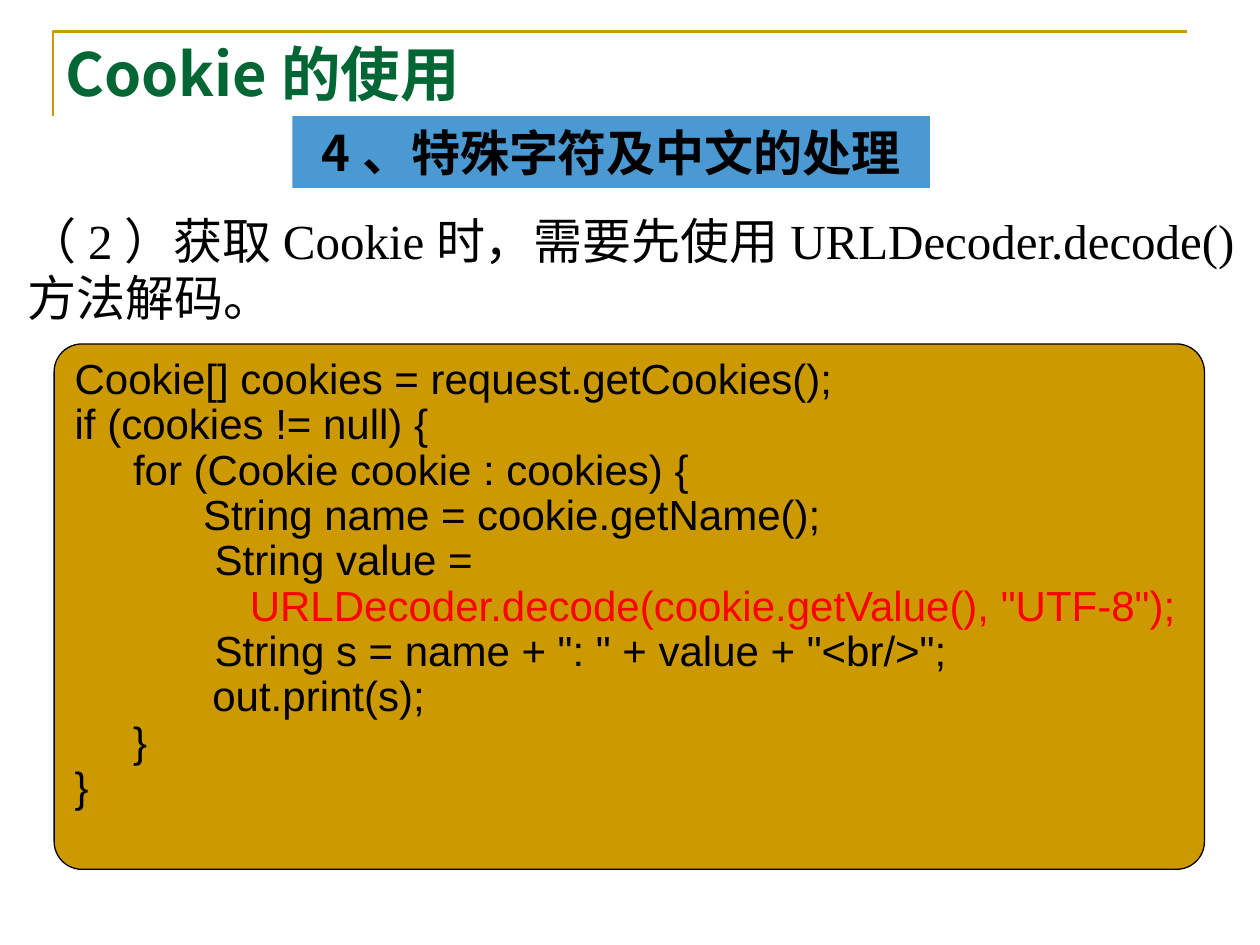
"""Build a slide on decoding cookie values that hold special or Chinese characters."""
from lxml import etree
from pptx import Presentation, util as u
from pptx.dml.color import RGBColor
from pptx.enum import shapes, text
from pptx.oxml.ns import qn

TITLE = "Cookie的使用"
BANNER = [("4、", "cjk"), ("特殊字符及中文的处理", "serif")]
BODY = "（2）获取Cookie时，需要先使用URLDecoder.decode()方法解码。"
CODE = [
    (0, "Cookie[] cookies = request.getCookies();", "ink"),
    (5, "if (cookies != null) {", "ink"),
    (5, "for (Cookie cookie : cookies) {", "ink"),
    (11, "String name = cookie.getName();", "ink"),
    (12, "String value =", "ink"),
    (15, 'URLDecoder.decode(cookie.getValue(), "UTF-8");', "alert"),
    (12, 'String s = name + ": " + value + "<br/>";', "ink"),
    (11.8, "out.print(s);", "ink"),
    (5, "}", "ink"),
    (0, "}", "ink"),
]
CODE[1] = (0, *CODE[1][1:])

THEME = {
    "color": {"ink": "000000", "title": "006633", "gold": "CC9900",
              "banner": "0070C0", "alert": "FF0000"},
    "font": {"cjk": "Noto Sans CJK SC", "serif": "Times New Roman", "code": "Arial"},
    "size": {"title": 34, "body": 28, "code": 24},
}
W, H = 10, 7.5
BOX = {
    "title": (0.042, 0.013, 0.615, 0.108),
    "banner": (0.232, 0.123, 0.506, 0.076),
    "body": (0.012, 0.217, 1.009, 0.14),
    "code": (0.043, 0.364, 0.913, 0.556),
}
CORNER = [(0.042, 0.123), (0.042, 0.033), (0.942, 0.033)]
SPACE = THEME["size"]["code"] * 0.278


def color(name):
    return RGBColor.from_string(THEME["color"][name])


def place(name):
    x, y, w, h = BOX[name]
    return [u.Inches(v) for v in (x * W, y * H, w * W, h * H)]


def style(r, font, size, ink="ink", bold=False):
    r.font.name = THEME["font"][font]
    r.font.size = u.Pt(THEME["size"][size])
    r.font.bold = bold
    r.font.color.rgb = color(ink)
    latin = r.font._element.find(qn("a:latin"))
    ea = etree.Element(qn("a:ea"), typeface=THEME["font"]["cjk"])
    latin.addnext(ea)


def add_text(s, name):
    tf = s.shapes.add_textbox(*place(name)).text_frame
    tf.word_wrap = True
    return tf


def add_panel(s, name, kind, fill):
    sp = s.shapes.add_shape(kind, *place(name))
    sp.shadow.inherit = False
    sp.fill.solid()
    sp.fill.fore_color.rgb = color(fill)
    sp.text_frame.word_wrap = True
    sp.text_frame.vertical_anchor = text.MSO_ANCHOR.TOP
    return sp


def add_corner(s):
    points = [(u.Inches(x * W), u.Inches(y * H)) for x, y in CORNER]
    fb = s.shapes.build_freeform(*points[0])
    fb.add_line_segments(points[1:], close=False)
    sp = fb.convert_to_shape()
    sp.shadow.inherit = False
    sp.fill.background()
    sp.line.color.rgb = color("gold")
    sp.line.width = u.Pt(1.5)


def add_title(s):
    tf = add_text(s, "title")
    tf.vertical_anchor = text.MSO_ANCHOR.BOTTOM
    tf.text = TITLE
    style(tf.paragraphs[0].runs[0], "cjk", "title", "title", True)


def add_body(s):
    tf = add_text(s, "body")
    tf.text = BODY
    p = tf.paragraphs[0]
    p.line_spacing = u.Pt(33)
    style(p.runs[0], "serif", "body")


def add_banner(s):
    sp = add_panel(s, "banner", shapes.MSO_SHAPE.RECTANGLE, "banner")
    sp.line.fill.background()
    rgb = sp._element.spPr.find(qn("a:solidFill"))[0]
    etree.SubElement(rgb, qn("a:alpha"), val="71000")
    p = sp.text_frame.paragraphs[0]
    p.alignment = text.PP_ALIGN.CENTER
    for words, font in BANNER:
        r = p.add_run()
        r.text = words
        style(r, font, "body", bold=True)


def add_code(s):
    sp = add_panel(s, "code", shapes.MSO_SHAPE.ROUNDED_RECTANGLE, "gold")
    sp.adjustments[0] = 0.053
    sp.line.color.rgb = color("ink")
    sp.line.width = u.Pt(0.75)
    tf = sp.text_frame
    tf.text = "\n".join(line for _, line, _ in CODE)
    for p, (indent, _, ink) in zip(tf.paragraphs, CODE):
        p.alignment = text.PP_ALIGN.LEFT
        p.line_spacing = 0.9
        p._p.get_or_add_pPr().set("marL", str(u.Pt(indent * SPACE)))
        style(p.runs[0], "code", "code", ink)


def main():
    prs = Presentation()
    prs.slide_width, prs.slide_height = u.Inches(W), u.Inches(H)
    s = prs.slides.add_slide(prs.slide_layouts[6])
    for add in (add_corner, add_title, add_body, add_banner, add_code):
        add(s)
    prs.save("out.pptx")


if __name__ == "__main__":
    main()
